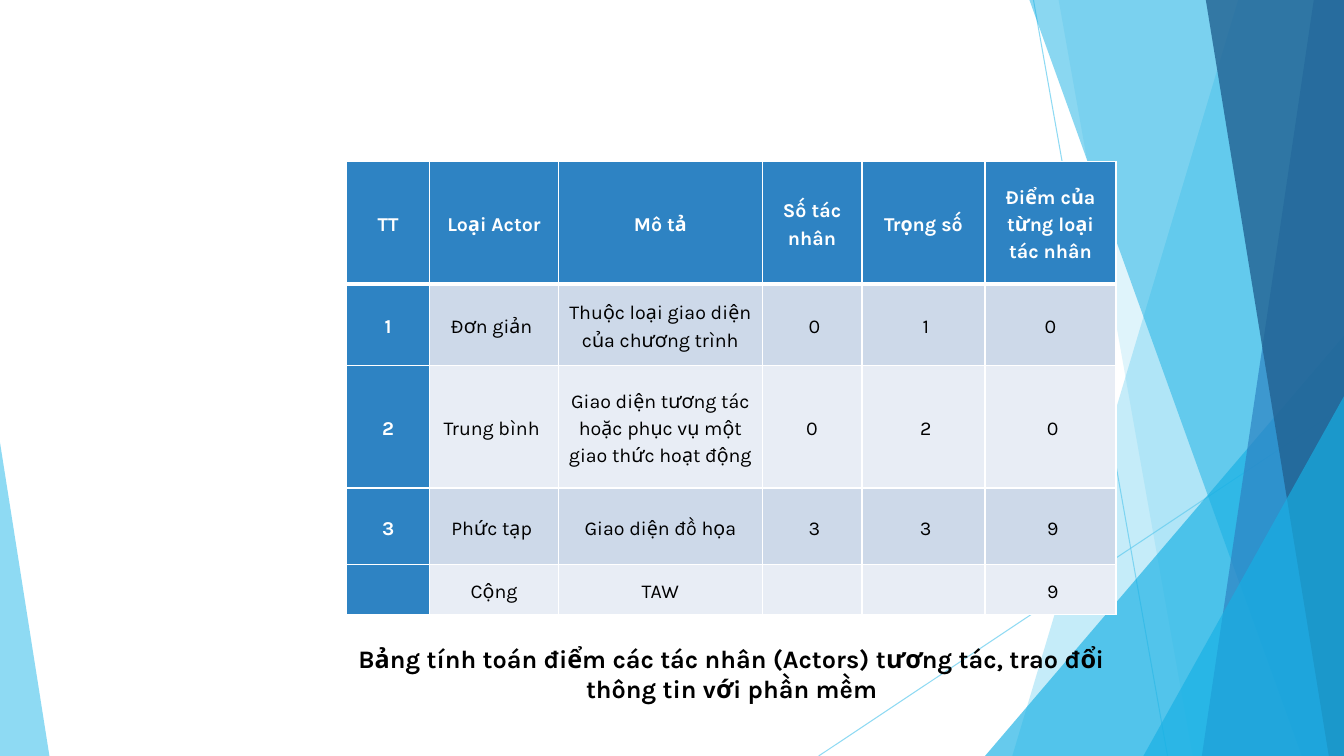
from lxml import etree
from pptx import Presentation
from pptx.dml.color import RGBColor
from pptx.enum.shapes import MSO_CONNECTOR, MSO_SHAPE
from pptx.enum.text import MSO_ANCHOR, PP_ALIGN
from pptx.oxml.ns import qn
from pptx.util import Inches, Pt

STRAIGHT = MSO_CONNECTOR.STRAIGHT
TRIANGLE = MSO_SHAPE.ISOSCELES_TRIANGLE
CENTER = PP_ALIGN.CENTER
MIDDLE = MSO_ANCHOR.MIDDLE

FONT = "Karla"
WIDTH, HEIGHT = 13.33, 7.5
BLACK, WHITE = "000000", "FFFFFF"
SKY, CYAN, BLUE, NAVY = "5FCBEF", "17B0E4", "2E83C3", "226292"
BANDS = ("CDD9E9", "E8EDF5")

COLUMN_WIDTHS = (0.82, 1.28, 2.02, 0.99, 1.22, 1.3)
ROW_HEIGHTS = (1.22, 0.81, 1.22, 0.76, 0.5)
ACTOR_ROWS = (
    ("TT", "Loại Actor", "Mô tả", "Số tác nhân", "Trọng số", "Điểm của từng loại tác nhân"),
    ("1", "Đơn giản ", "Thuộc loại giao diện của chương trình", " 0", " 1", "0"),
    ("2", "Trung bình ", "Giao diện tương tác hoặc phục vụ một giao thức hoạt động", "0", " 2", " 0"),
    ("3", "Phức tạp ", "Giao diện đồ họa", " 3", " 3", " 9"),
    ("", "Cộng", "TAW", "", "", " 9"),
)
CAPTION = "Bảng tính toán điểm các tác nhân (Actors) tương tác, trao đổi thông tin với phần mềm"


def rgb(color):
    return RGBColor.from_string(color)


def set_opacity(shape, percent):
    for color in shape._element.spPr.iter(qn("a:srgbClr")):
        etree.SubElement(color, qn("a:alpha"), val=str(percent * 1000))


def paint(shape, color, opacity):
    shape.shadow.inherit = False
    shape.fill.solid()
    shape.fill.fore_color.rgb = rgb(color)
    shape.line.fill.background()
    set_opacity(shape, opacity)


def add_ray(slide, start, end):
    ray = slide.shapes.add_connector(STRAIGHT, *map(Inches, start + end))
    ray.line.color.rgb = rgb(SKY)
    ray.line.width = Pt(0.75)
    set_opacity(ray, 70)
    etree.SubElement(ray._element.spPr, qn("a:effectLst"))


def add_shard(slide, top_left, bottom_left, color, opacity):
    corners = [(top_left, 0), (WIDTH, 0), (WIDTH, HEIGHT), (bottom_left, HEIGHT)]
    points = [(Inches(x), Inches(y)) for x, y in corners]
    builder = slide.shapes.build_freeform(*points[0], scale=1.0)
    builder.add_line_segments(points[1:], close=True)
    paint(builder.convert_to_shape(), color, opacity)


def add_corner(slide, left, top, width, apex, color, opacity):
    corner = slide.shapes.add_shape(
        TRIANGLE, Inches(left), Inches(top), Inches(width), Inches(HEIGHT - top))
    corner.adjustments[0] = apex
    paint(corner, color, opacity)


def add_backdrop(slide):
    add_ray(slide, (10.25, 0), (11.58, HEIGHT))
    add_ray(slide, (WIDTH, 4.03), (8.12, HEIGHT))
    add_shard(slide, 12.28, 10.04, SKY, 36)
    add_shard(slide, 10.5, 11.83, SKY, 20)
    add_corner(slide, 9.77, 3.33, 3.56, 1, CYAN, 66)
    add_shard(slide, 10.21, 12.91, CYAN, 50)
    add_shard(slide, 13.03, 11.92, BLUE, 70)
    add_shard(slide, 11.96, 13.18, NAVY, 80)
    add_corner(slide, 11.34, 3.93, 1.99, 1, CYAN, 66)
    add_corner(slide, 0, 4.39, 0.49, 0, SKY, 70)


def format_runs(paragraph, size, color, bold):
    paragraph.alignment = CENTER
    for run in paragraph.runs:
        run.font.name = FONT
        run.font.size = Pt(size)
        run.font.bold = bold
        run.font.color.rgb = rgb(color)


def set_borders(cell, top, bottom):
    properties = cell._tc.get_or_add_tcPr()
    edges = (("a:lnL", 1), ("a:lnR", 1), ("a:lnT", top), ("a:lnB", bottom))
    for position, (edge, points) in enumerate(edges):
        line = etree.Element(qn(edge), w=str(Pt(points)))
        fill = etree.SubElement(line, qn("a:solidFill"))
        etree.SubElement(fill, qn("a:srgbClr"), val=WHITE)
        properties.insert(position, line)


def fill_cell(cell, wording, row, column):
    is_heading = row == 0 or column == 0
    cell.fill.solid()
    cell.fill.fore_color.rgb = rgb(BLUE if is_heading else BANDS[(row - 1) % 2])
    set_borders(cell, 3 if row == 1 else 1, 3 if row == 0 else 1)
    cell.vertical_anchor = MIDDLE
    cell.margin_left = cell.margin_right = Inches(0.07)
    cell.margin_top = cell.margin_bottom = 0
    if wording:
        cell.text_frame.text = wording
        paragraph = cell.text_frame.paragraphs[0]
        paragraph.line_spacing = 1.2
        paragraph.space_before = paragraph.space_after = Pt(6)
        format_runs(paragraph, 14, WHITE if is_heading else BLACK, is_heading)


def add_actor_table(slide, left, top, width, height):
    actors = slide.shapes.add_table(
        len(ROW_HEIGHTS), len(COLUMN_WIDTHS),
        Inches(left), Inches(top), Inches(width), Inches(height)).table
    actors.first_col = True
    for column, share in zip(actors.columns, COLUMN_WIDTHS):
        column.width = Inches(width * share / sum(COLUMN_WIDTHS))
    for row, share in zip(actors.rows, ROW_HEIGHTS):
        row.height = Inches(height * share / sum(ROW_HEIGHTS))
    for r, wordings in enumerate(ACTOR_ROWS):
        for c, wording in enumerate(wordings):
            fill_cell(actors.cell(r, c), wording, r, c)


def add_caption(slide, left, top, width, height):
    caption = slide.shapes.add_textbox(
        Inches(left), Inches(top), Inches(width), Inches(height)).text_frame
    caption.word_wrap = True
    caption.text = CAPTION
    format_runs(caption.paragraphs[0], 18, BLACK, True)


def main():
    deck = Presentation()
    deck.slide_width, deck.slide_height = Inches(WIDTH), Inches(HEIGHT)
    slide = deck.slides.add_slide(deck.slide_layouts.get_by_name("Blank"))
    add_backdrop(slide)
    add_caption(slide, 3.44, 6.33, 7.63, 0.71)
    add_actor_table(slide, 3.44, 1.6, 7.63, 4.5)
    deck.save("out.pptx")


if __name__ == "__main__":
    main()
